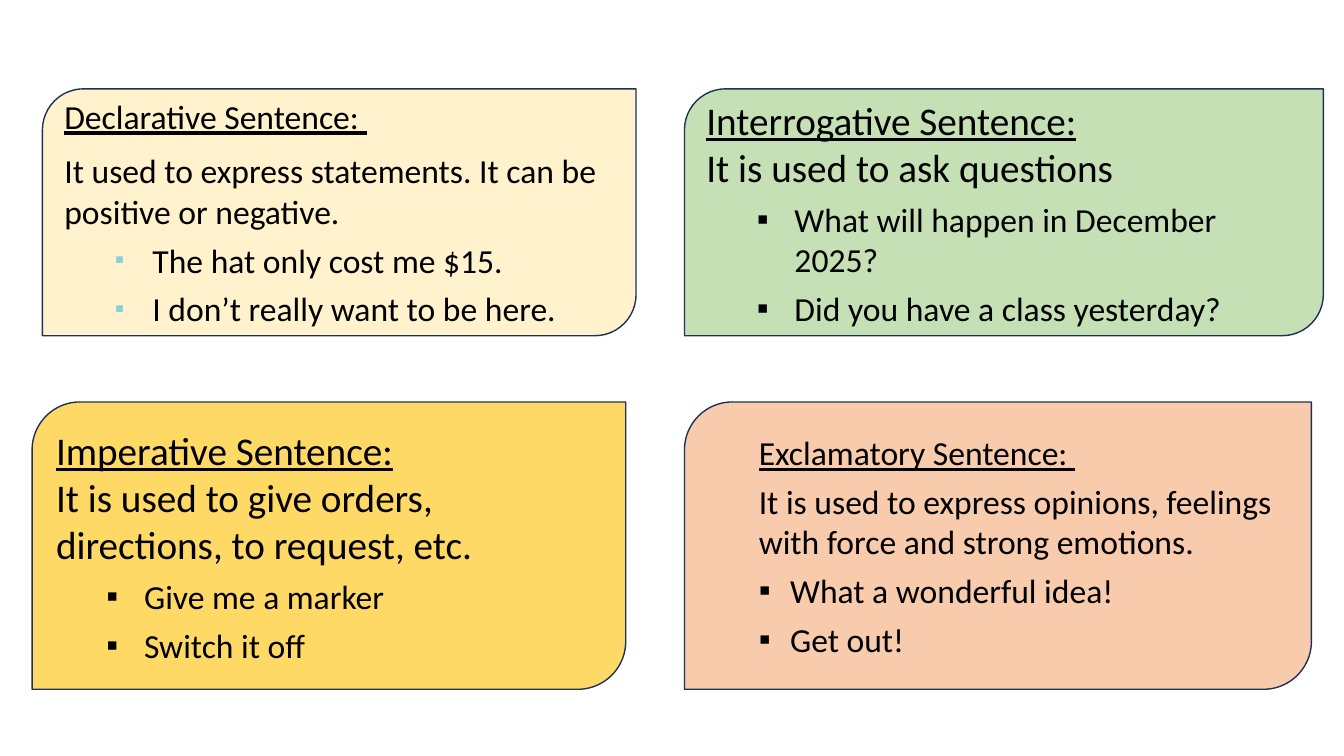
from dataclasses import dataclass

from lxml import etree
from pptx import Presentation
from pptx import util as u
from pptx.dml.color import RGBColor
from pptx.enum import shapes, text
from pptx.oxml import ns

FONT = "Calibri"
INK = "000000"
OUTLINE = "1E3256"

# Shared grid, in centimetres
RIGHT_COLUMN = 17.25
TOP_ROW, TOP_HEIGHT = 2.24, 6.22
BOTTOM_ROW, BOTTOM_HEIGHT = 10.13, 7.24
LEFT_WIDTH = 14.96


@dataclass
class Card:
    left: float
    top: float
    width: float
    height: float
    fill: str
    heading: str
    definition: str
    examples: list[str]
    intro_size: int = 28
    intro_space: int = 0
    intro_margin: float = 0
    example_margin: float = 2.22
    example_hang: float = 0.95
    bullet_color: str = INK
    bullet_percent: int = 100


CARDS = [
    Card(RIGHT_COLUMN, TOP_ROW, 16.1, TOP_HEIGHT, "C5E0B4",
         "Interrogative Sentence:", "It is used to ask questions",
         ["What will happen in December 2025?",
          "Did you have a class yesterday?"]),
    Card(0.81, BOTTOM_ROW, LEFT_WIDTH, BOTTOM_HEIGHT, "FFD966",
         "Imperative Sentence:",
         "It is used to give orders, directions, to request, etc.",
         ["Give me a marker", "Switch it off"]),
    Card(1.07, TOP_ROW, LEFT_WIDTH, TOP_HEIGHT, "FFF2CC",
         "Declarative Sentence: ",
         "It used to express statements. It can be positive or negative.",
         ["The hat only cost me $15.", "I don’t really want to be here."],
         intro_size=24, intro_space=10,
         bullet_color="8AD0D6", bullet_percent=80),
    Card(RIGHT_COLUMN, BOTTOM_ROW, 15.8, BOTTOM_HEIGHT, "F8CBAD",
         "Exclamatory Sentence: ",
         "It is used to express opinions, feelings with force and strong emotions.",
         ["What a wonderful idea!", "Get out!"],
         intro_size=24, intro_space=6, intro_margin=1.27,
         example_margin=2.06, example_hang=0.79),
]


def color(value: str) -> RGBColor:
    return RGBColor.from_string(value)


def format_paragraph(paragraph, size: int, space: int, margin: float,
                     hang: float = 0, underline: bool = False) -> None:
    paragraph.alignment = text.PP_ALIGN.LEFT
    paragraph.space_before = u.Pt(space)
    properties = paragraph._p.get_or_add_pPr()
    properties.set("marL", str(u.Cm(margin)))
    properties.set("indent", str(u.Cm(-hang)))
    for run in paragraph.runs:
        run.font.name = FONT
        run.font.size = u.Pt(size)
        run.font.underline = underline
        run.font.color.rgb = color(INK)


def add_bullet(paragraph, bullet_color: str, percent: int) -> None:
    properties = paragraph._p.get_or_add_pPr()
    holder = etree.SubElement(properties, ns.qn("a:buClr"))
    etree.SubElement(holder, ns.qn("a:srgbClr"), val=bullet_color)
    etree.SubElement(properties, ns.qn("a:buSzPct"), val=str(percent * 1000))
    etree.SubElement(properties, ns.qn("a:buFont"), typeface="Arial")
    etree.SubElement(properties, ns.qn("a:buChar"), char="▪")


def add_card(slide, card: Card) -> None:
    shape = slide.shapes.add_shape(
        shapes.MSO_SHAPE.ROUND_2_DIAG_RECTANGLE,
        u.Cm(card.left), u.Cm(card.top), u.Cm(card.width), u.Cm(card.height))
    shape.shadow.inherit = False
    shape.fill.solid()
    shape.fill.fore_color.rgb = color(card.fill)
    shape.line.color.rgb = color(OUTLINE)
    shape.line.width = u.Pt(1)

    text_frame = shape.text_frame
    text_frame.word_wrap = True
    text_frame.vertical_anchor = text.MSO_ANCHOR.MIDDLE
    text_frame.text = "\n".join([card.heading, card.definition, *card.examples])

    # Heading and definition
    heading, definition, *examples = text_frame.paragraphs
    for paragraph in (heading, definition):
        format_paragraph(paragraph, card.intro_size, card.intro_space,
                         card.intro_margin, underline=paragraph is heading)

    # Bulleted examples
    for paragraph in examples:
        paragraph.level = 1
        format_paragraph(paragraph, 24, 6, card.example_margin, card.example_hang)
        add_bullet(paragraph, card.bullet_color, card.bullet_percent)


def main() -> None:
    presentation = Presentation()
    presentation.slide_width = u.Cm(33.87)
    presentation.slide_height = u.Cm(19.05)
    slide = presentation.slides.add_slide(presentation.slide_layouts[6])
    for card in CARDS:
        add_card(slide, card)
    presentation.save("out.pptx")


if __name__ == "__main__":
    main()
